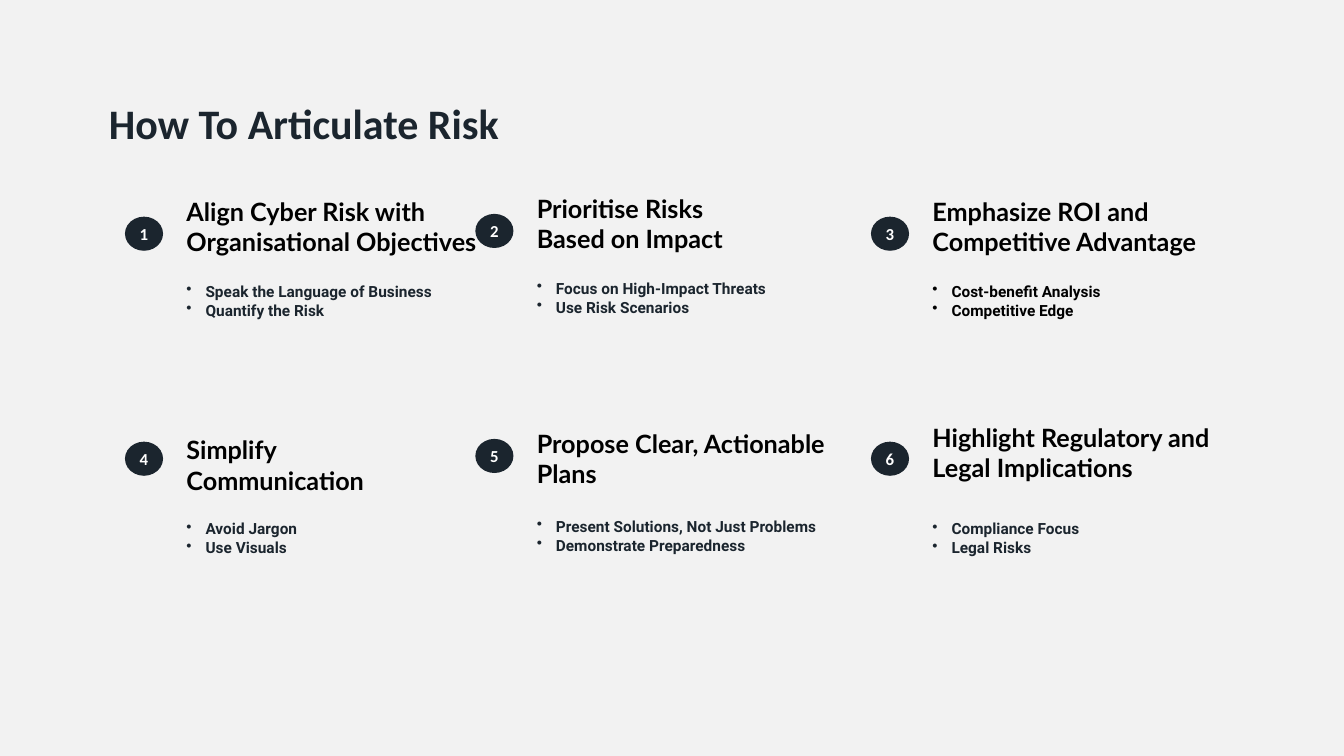
import pptx
import pptx.util
import pptx.dml.color
import pptx.enum.shapes
import pptx.enum.text
import pptx.oxml.ns
from lxml import etree

Cm = pptx.util.Cm
Pt = pptx.util.Pt
Align = pptx.enum.text.PP_ALIGN
Anchor = pptx.enum.text.MSO_ANCHOR

COLOURS = {"page": "F2F2F2", "navy": "1B252E", "black": "000000", "white": "FFFFFF"}

# Card corners: left edges of the columns, tops of the rows, in cm
COLUMNS = [3.15, 11.98, 21.95]
ROWS = [5.46, 11.13]
MIDDLE_LIFT = 0.07
LIST_DROPS = [1.5, 1.82]

# Heading, its width and rise above the badge in cm, bullets, bullet colour
CARDS = [
    ("Align Cyber Risk with Organisational Objectives", 8, 0.64,
     ["Speak the Language of Business", "Quantify the Risk"], "navy"),
    ("Prioritise Risks Based on Impact", 5.87, 0.64,
     ["Focus on High-Impact Threats", "Use Risk Scenarios"], "navy"),
    ("Emphasize ROI and Competitive Advantage", 8, 0.64,
     ["Cost-benefit Analysis", "Competitive Edge"], "black"),
    ("Simplify Communication", 6.96, 0.3,
     ["Avoid Jargon", "Use Visuals"], "navy"),
    ("Propose Clear, Actionable Plans", 8.5, 0.4,
     ["Present Solutions, Not Just Problems", "Demonstrate Preparedness"], "navy"),
    ("Highlight Regulatory and Legal Implications", 8.5, 0.61,
     ["Compliance Focus", "Legal Risks"], "navy"),
]


def colour(name):
    return pptx.dml.color.RGBColor.from_string(COLOURS[name])


def style(para, face, size, ink):
    para.font.name = face
    para.font.size = Pt(size)
    para.font.bold = True
    para.font.color.rgb = colour(ink)


def add_bullet(para):
    properties = para._p.get_or_add_pPr()
    properties.set("marL", str(Cm(0.48)))
    properties.set("indent", str(-Cm(0.48)))
    bullet = etree.SubElement(properties, pptx.oxml.ns.qn("a:buChar"))
    bullet.set("char", "•")


def add_text_box(page, left, top, width, height):
    box = page.shapes.add_textbox(Cm(left), Cm(top), Cm(width), Cm(height))
    box.text_frame.word_wrap = True
    return box.text_frame


def add_title(page, left, top, width, height):
    title = page.shapes.title
    title.left, title.top = Cm(left), Cm(top)
    title.width, title.height = Cm(width), Cm(height)
    frame = title.text_frame
    frame.text = "How To Articulate Risk"
    frame.auto_size = pptx.enum.text.MSO_AUTO_SIZE.NONE
    frame.word_wrap = False
    frame.vertical_anchor = Anchor.TOP
    para = frame.paragraphs[0]
    para.alignment = Align.LEFT
    para.line_spacing = Pt(32)
    style(para, "Calibri", 30, "navy")


def add_badge(page, left, top, number):
    badge = page.shapes.add_shape(pptx.enum.shapes.MSO_SHAPE.OVAL,
                                  Cm(left), Cm(top), Cm(0.96), Cm(0.86))
    badge.shadow.inherit = False
    badge.fill.solid()
    badge.fill.fore_color.rgb = colour("navy")
    badge.line.fill.background()
    frame = badge.text_frame
    frame.margin_left = frame.margin_right = 0
    frame.margin_top = frame.margin_bottom = 0
    frame.vertical_anchor = Anchor.MIDDLE
    frame.text = str(number)
    frame.paragraphs[0].alignment = Align.CENTER
    style(frame.paragraphs[0], "Calibri", 12, "white")


def add_card(page, left, top, number, card, list_drop):
    heading, heading_width, rise, points, ink = card
    text_left = left + 1.3
    add_badge(page, left, top, number)

    # Heading
    frame = add_text_box(page, text_left, top - rise, heading_width, 1.8)
    frame.text = heading
    style(frame.paragraphs[0], "Lato", 18, "black")

    # Bullets
    frame = add_text_box(page, text_left, top + list_drop, 8.86, 1.24)
    frame.text = "\n".join(points)
    for para in frame.paragraphs:
        para.line_spacing = Pt(13.6)
        add_bullet(para)
        style(para, "Roboto", 11, ink)


def main():
    deck = pptx.Presentation()
    deck.slide_width, deck.slide_height = Cm(33.87), Cm(19.05)
    page = deck.slides.add_slide(deck.slide_layouts.get_by_name("Title Only"))
    page.background.fill.solid()
    page.background.fill.fore_color.rgb = colour("page")

    add_title(page, 2.49, 2.46, 10.44, 1.4)
    for index, card in enumerate(CARDS):
        row, column = divmod(index, len(COLUMNS))
        top = ROWS[row] - (MIDDLE_LIFT if column == 1 else 0)
        add_card(page, COLUMNS[column], top, index + 1, card, LIST_DROPS[row])

    deck.save("out.pptx")


if __name__ == "__main__":
    main()
